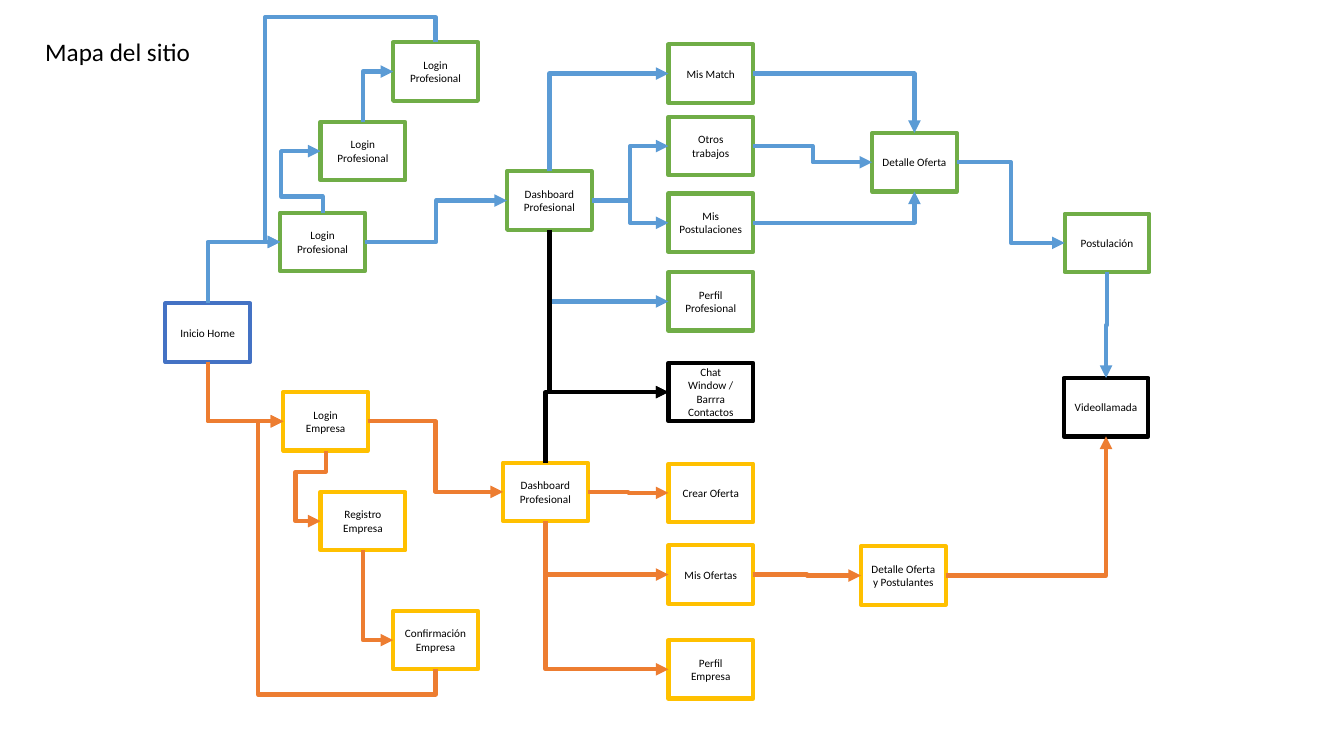
from lxml import etree
from pptx import Presentation
from pptx.dml.color import RGBColor
from pptx.enum import shapes, text
from pptx.oxml.ns import qn
from pptx.util import Inches, Pt

WHITE = RGBColor(0xFF, 0xFF, 0xFF)
BLACK = RGBColor(0x00, 0x00, 0x00)
NAVY = RGBColor(0x44, 0x72, 0xC4)
BLUE = RGBColor(0x5B, 0x9B, 0xD5)
GREEN = RGBColor(0x70, 0xAD, 0x47)
GOLD = RGBColor(0xFF, 0xC0, 0x00)
ORANGE = RGBColor(0xED, 0x7D, 0x31)

FONT = "Calibri"
BOX_W, BOX_H = 0.84, 0.58
TOP, LEFT, BOTTOM, RIGHT = range(4)

# Each page: key, label, offset from the region's left and top
PROFESSIONAL_PAGES = [
    ("login", "Login Profesional", 0, 1.69),
    ("register", "Login Profesional", 0.4, 0.79),
    ("confirm", "Login Profesional", 1.12, 0),
    ("dashboard", "Dashboard Profesional", 2.25, 1.28),
    ("match", "Mis Match", 3.85, 0.02),
    ("jobs", "Otros trabajos", 3.85, 0.74),
    ("applications", "Mis Postulaciones", 3.85, 1.5),
    ("profile", "Perfil Profesional", 3.85, 2.28),
    ("detail", "Detalle Oferta", 5.87, 0.9),
    ("apply", "Postulación", 7.78, 1.7),
]
COMPANY_PAGES = [
    ("login", "Login Empresa", 0, 0),
    ("register", "Registro Empresa", 0.37, 0.99),
    ("confirm", "Confirmación Empresa", 1.09, 2.17),
    ("dashboard", "Dashboard Profesional", 2.18, 0.7),
    ("create", "Crear Oferta", 3.82, 0.71),
    ("offers", "Mis Ofertas", 3.82, 1.52),
    ("profile", "Perfil Empresa", 3.82, 2.46),
    ("detail", "Detalle Oferta y Postulantes", 5.73, 1.53),
]
SHARED_PAGES = [
    ("chat", "Chat Window / Barrra Contactos", 0, 0),
    ("video", "Videollamada", 3.92, 0.15),
]


def style_run(p, size):
    font = p.runs[0].font
    font.name, font.size = FONT, Pt(size)
    font.color.rgb = BLACK


def add_title(sl, x, y, w, h):
    tf = sl.shapes.add_textbox(Inches(x), Inches(y), Inches(w), Inches(h)).text_frame
    tf.word_wrap = True
    tf.auto_size = text.MSO_AUTO_SIZE.SHAPE_TO_FIT_TEXT
    tf.text = "Mapa del sitio"
    style_run(tf.paragraphs[0], 18)


def add_pages(sl, x, y, pages, color):
    """Draw a region's boxes from its top left corner; return them by key."""
    boxes = {}
    for key, label, dx, dy in pages:
        sp = sl.shapes.add_shape(shapes.MSO_SHAPE.RECTANGLE, Inches(x + dx),
                                 Inches(y + dy), Inches(BOX_W), Inches(BOX_H))
        sp.shadow.inherit = False
        sp.fill.solid()
        sp.fill.fore_color.rgb = WHITE
        sp.line.color.rgb = color
        sp.line.width = Pt(3)
        tf = sp.text_frame
        tf.word_wrap = True
        tf.vertical_anchor = text.MSO_ANCHOR.MIDDLE
        tf.text = label
        tf.paragraphs[0].alignment = text.PP_ALIGN.CENTER
        style_run(tf.paragraphs[0], 8)
        boxes[key] = sp
    return boxes


def add_arrow(sl, start, start_side, end, end_side, color, lane=None):
    """Join two boxes with an elbow arrow; lane is the (x, y) of a detour."""
    cx = sl.shapes.add_connector(shapes.MSO_CONNECTOR.ELBOW, 0, 0, 0, 0)
    cx.begin_connect(start, start_side)
    cx.end_connect(end, end_side)
    x0, y0, dx, dy = cx.begin_x, cx.begin_y, cx.end_x - cx.begin_x, cx.end_y - cx.begin_y
    sp_pr = cx._element.spPr
    geom = sp_pr.find(qn("a:prstGeom"))

    # Number of bends: a detour, a single corner or a central step
    vertical = start_side in (TOP, BOTTOM)
    if lane:
        geom.set("prst", "bentConnector4")
        ratios = ((Inches(lane[1]) - y0) / dy, (Inches(lane[0]) - x0) / dx)
        guides = geom.find(qn("a:avLst"))
        for i, ratio in enumerate(ratios, 1):
            etree.SubElement(guides, qn("a:gd"), name=f"adj{i}",
                             fmla=f"val {round(ratio * 100000)}")
    elif vertical != (end_side in (TOP, BOTTOM)):
        geom.set("prst", "bentConnector2")

    # A vertical start needs a frame turned about the midpoint
    if vertical:
        cx.width, cx.height = abs(dy), abs(dx)
        cx.left = x0 + (dx - abs(dy)) // 2
        cx.top = y0 + (dy - abs(dx)) // 2
        xfrm = sp_pr.find(qn("a:xfrm"))
        xfrm.set("rot", str((90 if dy > 0 else 270) * 60000))
        xfrm.set("flipH", "0")
        xfrm.set("flipV", "1" if (dx > 0) == (dy > 0) else "0")

    cx.line.color.rgb = color
    cx.line.width = Pt(3)
    etree.SubElement(cx.line._get_or_add_ln(), qn("a:tailEnd"), type="triangle")
    etree.SubElement(sp_pr, qn("a:effectLst"))


def add_professional_flow(sl, home, pro, shared):
    for start, start_side, end, end_side, *lane in [
        (home, TOP, pro["login"], LEFT),
        (pro["login"], TOP, pro["register"], LEFT, (2.79, 1.95)),
        (pro["register"], TOP, pro["confirm"], LEFT),
        (pro["confirm"], TOP, pro["login"], LEFT, (2.63, 0.17)),
        (pro["login"], RIGHT, pro["dashboard"], LEFT),
        (pro["dashboard"], TOP, pro["match"], LEFT),
        (pro["dashboard"], RIGHT, pro["jobs"], LEFT),
        (pro["dashboard"], RIGHT, pro["applications"], LEFT),
        (pro["dashboard"], BOTTOM, pro["profile"], LEFT),
        (pro["jobs"], RIGHT, pro["detail"], LEFT),
        (pro["match"], RIGHT, pro["detail"], TOP),
        (pro["applications"], RIGHT, pro["detail"], BOTTOM),
        (pro["detail"], RIGHT, pro["apply"], LEFT),
        (pro["apply"], BOTTOM, shared["video"], TOP),
    ]:
        add_arrow(sl, start, start_side, end, end_side, BLUE, *lane)


def add_company_flow(sl, home, company, shared):
    for start, start_side, end, end_side, *lane in [
        (home, BOTTOM, company["login"], LEFT),
        (company["login"], BOTTOM, company["register"], LEFT, (2.93, 4.68)),
        (company["register"], BOTTOM, company["confirm"], LEFT),
        (company["confirm"], BOTTOM, company["login"], LEFT, (2.56, 6.89)),
        (company["login"], RIGHT, company["dashboard"], LEFT),
        (company["dashboard"], RIGHT, company["create"], LEFT),
        (company["dashboard"], BOTTOM, company["offers"], LEFT),
        (company["dashboard"], BOTTOM, company["profile"], LEFT),
        (company["offers"], RIGHT, company["detail"], LEFT),
        (company["detail"], RIGHT, shared["video"], BOTTOM),
    ]:
        add_arrow(sl, start, start_side, end, end_side, ORANGE, *lane)


def main():
    prs = Presentation()
    prs.slide_width, prs.slide_height = Inches(13.33), Inches(7.5)
    sl = prs.slides.add_slide(prs.slide_layouts[6])
    add_title(sl, 0.35, 0.31, 7.93, 0.4)

    # Boxes
    home = add_pages(sl, 1.64, 3.01, [("home", "Inicio Home", 0, 0)], NAVY)["home"]
    pro = add_pages(sl, 2.78, 0.42, PROFESSIONAL_PAGES, GREEN)
    company = add_pages(sl, 2.81, 3.89, COMPANY_PAGES, GOLD)
    shared = add_pages(sl, 6.63, 3.6, SHARED_PAGES, BLACK)

    # Arrows
    add_professional_flow(sl, home, pro, shared)
    add_company_flow(sl, home, company, shared)
    add_arrow(sl, pro["dashboard"], BOTTOM, shared["chat"], LEFT, BLACK)
    add_arrow(sl, company["dashboard"], TOP, shared["chat"], LEFT, BLACK)

    prs.save("out.pptx")


if __name__ == "__main__":
    main()
